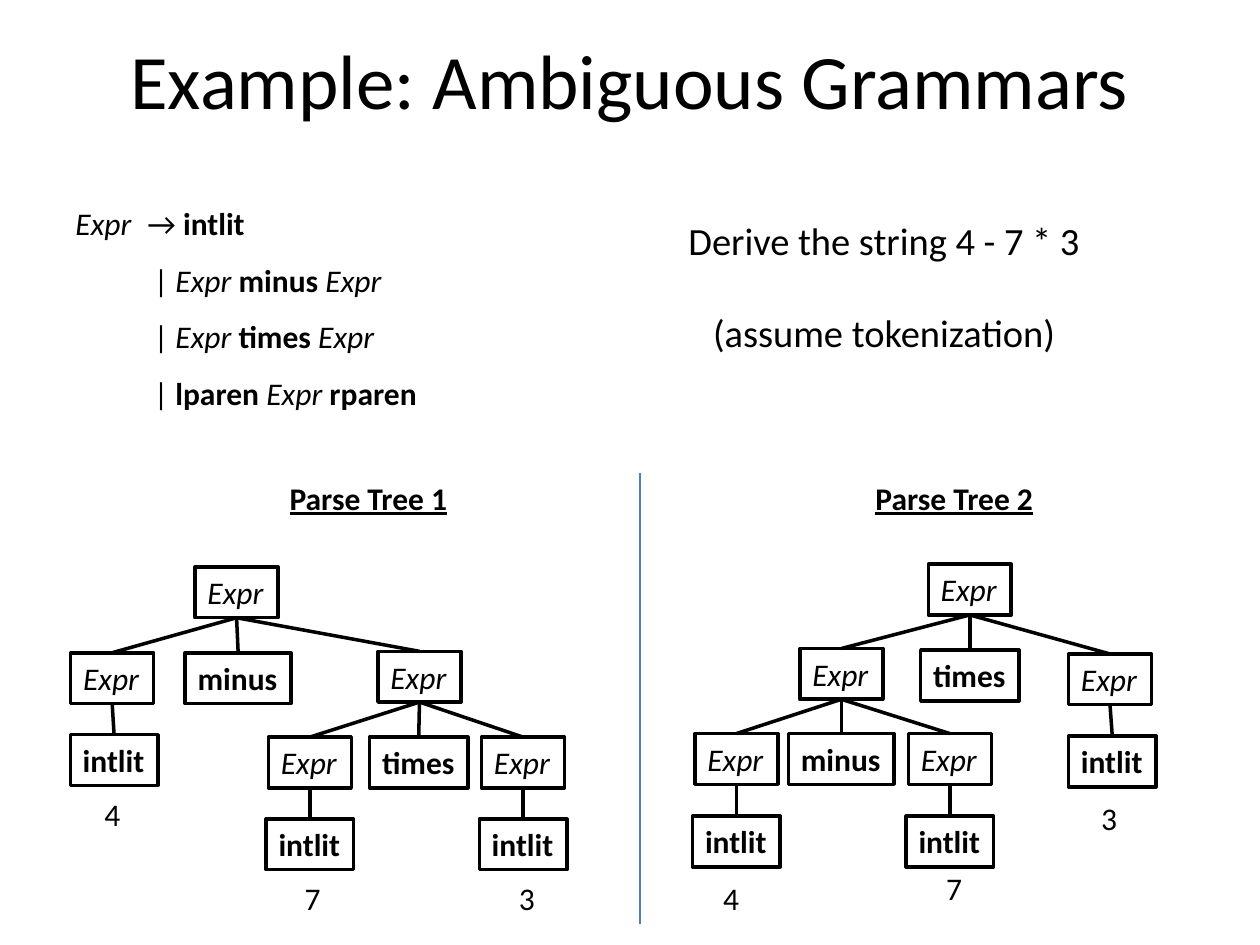
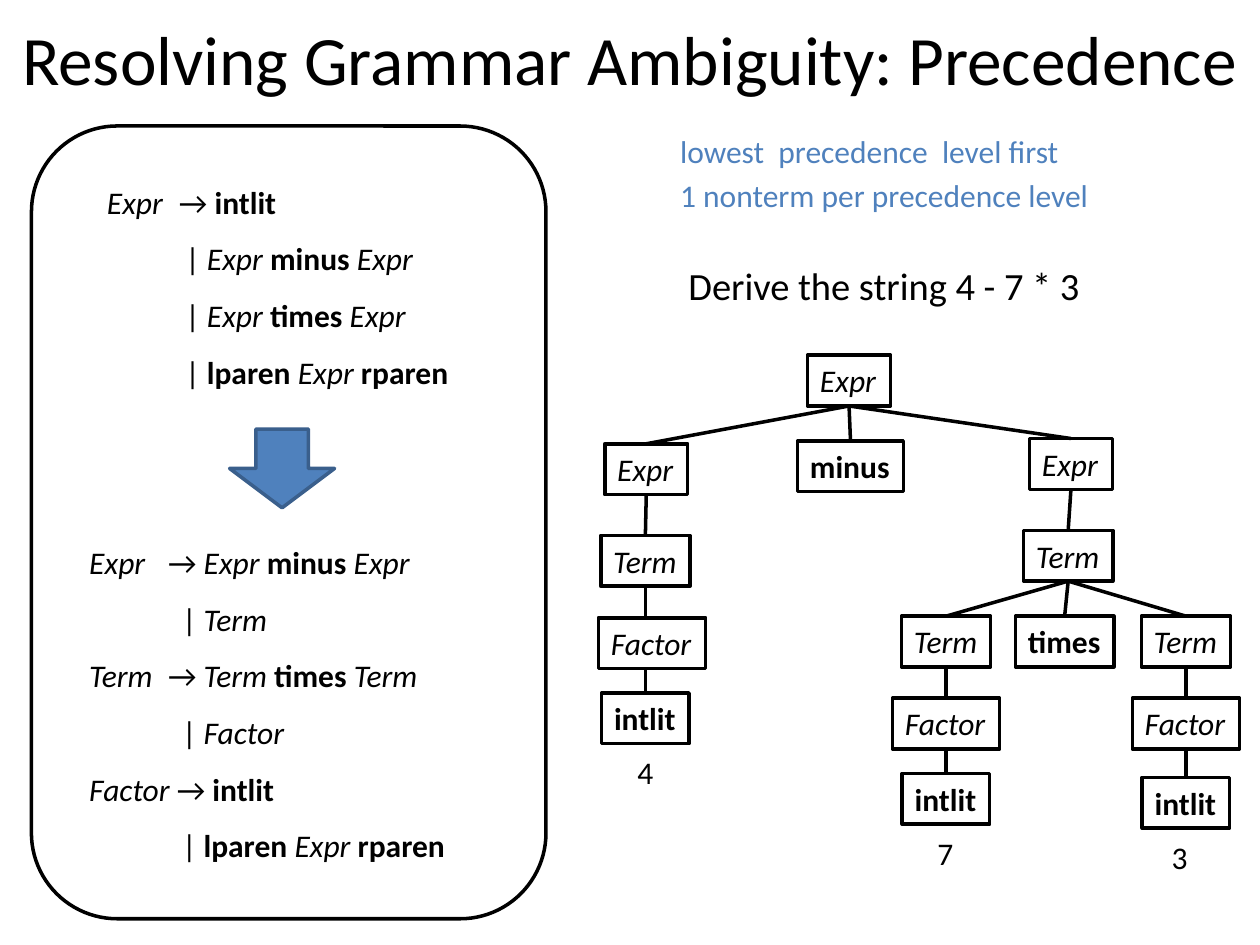
from dataclasses import dataclass, field
from itertools import groupby

from lxml.etree import SubElement
from pptx import Presentation
from pptx.dml.color import RGBColor
from pptx.enum.shapes import MSO_CONNECTOR, MSO_SHAPE
from pptx.enum.text import MSO_ANCHOR, PP_ALIGN
from pptx.oxml.ns import qn
from pptx.util import Pt

HUES = {"ink": "000000", "paper": "FFFFFF", "blue": "4F81BD",
        "edge": "3A5F8C", "rule": "4B7EBC"}
FONT = "Calibri"
WIDTHS = {"Expr": 47.4, "Term": 51, "Factor": 61.3,
          "minus": 60.5, "times": 56.2, "intlit": 50}
HEIGHT = 29
NONTERMS = {"Expr", "Term", "Factor"}
TOKENS = {"minus", "times", "intlit", "lparen", "rparen"}
TASK = "Derive the string 4 - 7 * 3"
BASIC = ["Expr\t→ intlit", "| Expr minus Expr", "| Expr times Expr",
         "| lparen Expr rparen"]
LAYERED = ["Expr\t→ Expr minus Expr", "| Term", "Term\t→ Term times Term",
           "| Factor", "Factor → intlit", "| lparen Expr rparen"]


@dataclass
class Node:
    word: str
    mid: float
    top: float
    kids: list["Node"] = field(default_factory=list)
    lean: float = 0


@dataclass
class Digit:
    text: str
    left: float
    top: float


TREE_ONE = Node("Expr", 135.2, 324, [
    Node("Expr", 64.1, 373, [Node("intlit", 65.2, 419.8)]),
    Node("minus", 136.1, 373),
    Node("Expr", 239.7, 372.2, [
        Node("Expr", 177.1, 421.2, [Node("intlit", 177.1, 468)]),
        Node("times", 239.3, 421.2),
        Node("Expr", 298.9, 421.2, [Node("intlit", 298.9, 468)])])])
TREE_TWO = Node("Expr", 554.2, 322.4, [
    Node("Expr", 480.8, 370.6, [
        Node("Expr", 420.8, 419.2, [Node("intlit", 420.8, 466.4)]),
        Node("minus", 480.8, 419.2),
        Node("Expr", 542.8, 419.2, [Node("intlit", 542.8, 466.4)])]),
    Node("times", 554.2, 371.5),
    Node("Expr", 634.3, 373.7, [Node("intlit", 635.6, 420.6)])])
TREE_NEW = Node("Expr", 485.2, 203, [
    Node("Expr", 369.3, 253.6, [
        Node("Term", 368.8, 306, [
            Node("Factor", 372.6, 353,
                 [Node("intlit", 368.8, 396)], lean=-3.8)])]),
    Node("minus", 486, 252),
    Node("Expr", 612, 250.6, [
        Node("Term", 610.4, 303.1, [
            Node("Term", 540.6, 352.1, [
                Node("Factor", 540.6, 399, [Node("intlit", 540.6, 442)])]),
            Node("times", 608.4, 352.1),
            Node("Term", 677.7, 352.1, [
                Node("Factor", 677.7, 399, [Node("intlit", 677.7, 444.2)])])])])])
DIGITS_ONE = [Digit("4", 52.6, 450.7), Digit("7", 167, 499),
              Digit("3", 289.4, 499), Digit("4", 406.1, 499),
              Digit("7", 533.5, 493.2), Digit("3", 622.1, 452.9)]
DIGITS_TWO = [Digit("4", 357.1, 427), Digit("7", 528.5, 473),
              Digit("3", 662.4, 475.2)]


def tint(name: str) -> RGBColor:
    return RGBColor.from_string(HUES[name])


def style(piece: str) -> tuple[bool, bool]:
    word = piece.strip()
    return word in TOKENS, word in NONTERMS


def write(frame, text, *, size=18, hue="ink", bold=False, under=False,
          align=PP_ALIGN.LEFT, wrap=False, anchor=MSO_ANCHOR.TOP,
          lead=None, before=0, gap=0, tab=0, inset=0) -> None:
    frame.word_wrap = wrap
    frame.vertical_anchor = anchor
    for num, line in enumerate(text.split("\n")):
        para = frame.add_paragraph() if num else frame.paragraphs[0]
        para.alignment = align
        if lead:
            para.line_spacing = lead
        if before or (gap and num):
            para.space_before = Pt(before or gap)
        props = para._p.get_or_add_pPr()
        if inset and line.startswith("|"):
            props.set("marL", str(Pt(inset)))
            props.set("indent", "0")
        if "\t" in line:
            stops = SubElement(props, qn("a:tabLst"))
            SubElement(stops, qn("a:tab"), pos=str(Pt(tab)), algn="l")
        words = line.replace("\t", "\t ").split(" ")
        parts = [w if w.endswith("\t") else w + " " for w in words]
        parts[-1] = parts[-1].rstrip()
        for (strong, slant), group in groupby(parts, key=style):
            run = para.add_run()
            run.text = "".join(group)
            font = run.font
            font.name, font.size = FONT, Pt(size)
            font.bold, font.italic = bold or strong, slant
            font.underline = under
            font.color.rgb = tint(hue)


def label(slide, text: str, left, top, width, height, **form) -> None:
    box = slide.shapes.add_textbox(Pt(left), Pt(top), Pt(width), Pt(height))
    write(box.text_frame, text, **form)


def title(slide, text: str, left, width, height, size) -> None:
    label(slide, text, left, 0, width, height, size=size, wrap=True,
          align=PP_ALIGN.CENTER, anchor=MSO_ANCHOR.MIDDLE)


def shape(slide, kind, left, top, width, height, fill="paper", edge="ink"):
    item = slide.shapes.add_shape(kind, Pt(left), Pt(top), Pt(width), Pt(height))
    item.shadow.inherit = False
    item.fill.solid()
    item.fill.fore_color.rgb = tint(fill)
    item.line.color.rgb = tint(edge)
    item.line.width = Pt(2)
    return item


def line(slide, left, top, right, base, hue="ink", width=2.0):
    item = slide.shapes.add_connector(
        MSO_CONNECTOR.STRAIGHT, Pt(left), Pt(top), Pt(right), Pt(base))
    item.line.color.rgb = tint(hue)
    item.line.width = Pt(width)
    SubElement(item._element.spPr, qn("a:effectLst"))
    return item


def tree(slide, node: Node):
    width = WIDTHS[node.word]
    box = shape(slide, MSO_SHAPE.RECTANGLE, node.mid - width / 2, node.top,
                width, HEIGHT)
    write(box.text_frame, node.word)
    for kid in node.kids:
        below = tree(slide, kid)
        link = line(slide, node.mid + node.lean, node.top + HEIGHT,
                    kid.mid + kid.lean, kid.top)
        if not node.lean:
            link.begin_connect(box, 2)
        if not kid.lean:
            link.end_connect(below, 0)
    return box


def digits(slide, items: list[Digit]) -> None:
    for item in items:
        label(slide, item.text, item.left, item.top, 24, HEIGHT)


def grammar(slide, rules: list[str], left, top, tab, inset) -> None:
    label(slide, "\n".join(rules), left, top, 234, 34 * len(rules),
          wrap=True, lead=1.5, tab=tab, inset=inset)


def first(slide) -> None:
    title(slide, "Example: Ambiguous Grammars", 36, 648, 90, 44)
    grammar(slide, BASIC, 36, 102.2, 41.2, 44.8)
    label(slide, TASK + "\n(assume tokenization)", 385, 120.2, 240.5, 87,
          size=22, align=PP_ALIGN.CENTER, gap=26.4)
    line(slide, 365.8, 270, 365.8, 528, "rule", 0.75)
    for num, left in enumerate((158.4, 493.2), 1):
        label(slide, f"Parse Tree {num}", left, 270, 105, HEIGHT,
              bold=True, under=True)
    tree(slide, TREE_ONE)
    tree(slide, TREE_TWO)
    digits(slide, DIGITS_ONE)


def second(slide) -> None:
    shape(slide, MSO_SHAPE.ROUNDED_RECTANGLE, 18, 72, 294, 453)
    title(slide, "Resolving Grammar Ambiguity: Precedence", 0, 720, 65.5, 39.6)
    label(slide, "lowest  precedence  level first\n"
          "1 nonterm per precedence level", 381.6, 72, 255, 63.4,
          hue="blue", wrap=True, before=3.6)
    grammar(slide, BASIC, 54, 90, 41.2, 44.8)
    shape(slide, MSO_SHAPE.DOWN_ARROW, 131.2, 245.2, 60, 45, "blue", "edge")
    grammar(slide, LAYERED, 43.9, 295.9, 45, 53)
    label(slide, TASK, 385, 146.2, 240.5, 34, size=22, align=PP_ALIGN.CENTER)
    tree(slide, TREE_NEW)
    digits(slide, DIGITS_TWO)


def main() -> None:
    deck = Presentation()
    deck.slide_width, deck.slide_height = Pt(720), Pt(540)
    for draw in (first, second):
        draw(deck.slides.add_slide(deck.slide_layouts[6]))
    deck.save("out.pptx")


if __name__ == "__main__":
    main()
